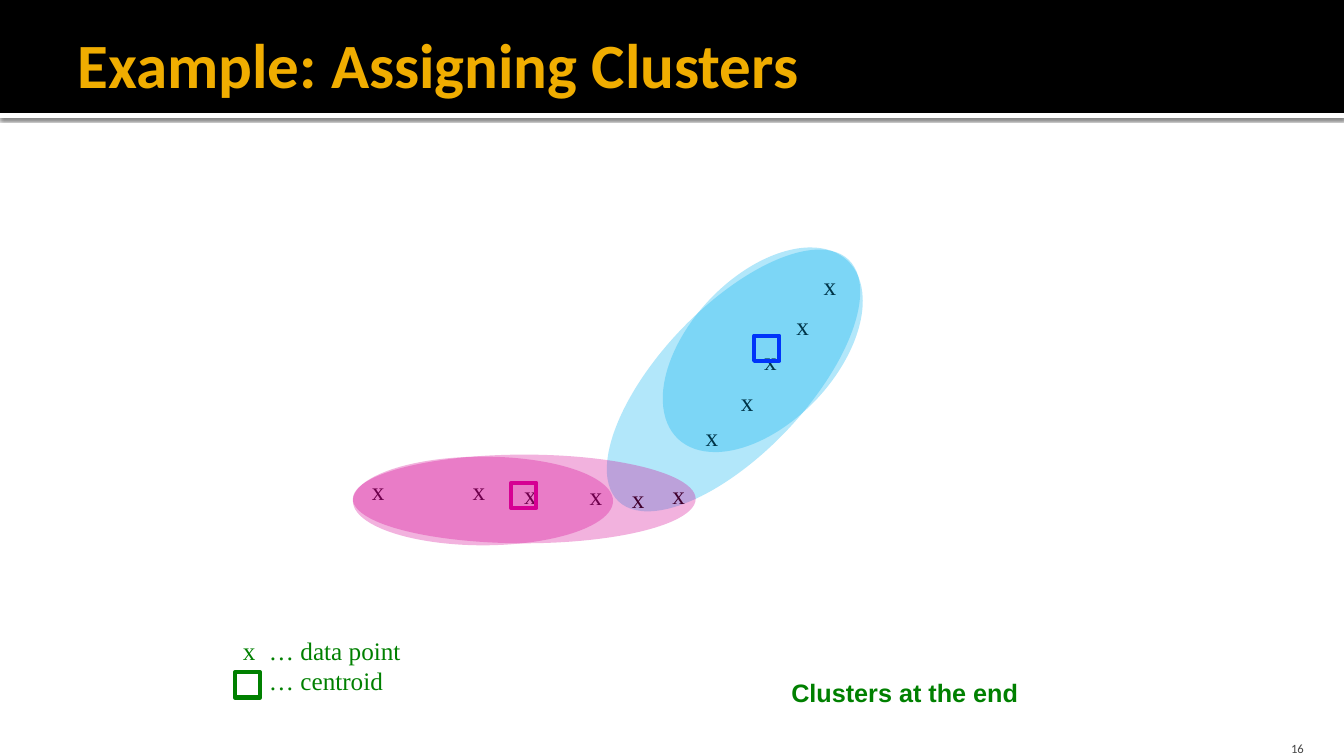
import pptx
import pptx.dml.color
import pptx.enum.shapes
import pptx.enum.text
import pptx.oxml
import pptx.oxml.ns
import pptx.util

PX = 9144  # 100 px to the inch
SHAPE = pptx.enum.shapes.MSO_SHAPE
ALIGN = pptx.enum.text.PP_ALIGN
ANCHOR = pptx.enum.text.MSO_ANCHOR
AUTO_SIZE = pptx.enum.text.MSO_AUTO_SIZE

BLACK, WHITE, GOLD, GREY = "000000", "FFFFFF", "F0AD00", "454545"
GREEN, BLUE, SKY, MAGENTA = "008000", "0000FF", "00B0F0", "D60093"

CLUSTER_BEHIND = (655, 212, 145, 331, SKY, 43.6)
CLUSTERS_IN_FRONT = [
    (350, 453, 258, 88, MAGENTA, 0),
    (350, 451, 340, 88, MAGENTA, 0),
    (684, 225, 145, 244, SKY, 43.6),
]
DATA_POINTS = [
    (575, 472), (807, 263), (510, 471), (748, 338), (459, 467), (690, 413),
    (359, 467), (657, 471), (725, 378), (780, 303), (617, 475),
]
CENTROIDS = [(233, 667, GREEN), (748, 333, BLUE), (507, 479, MAGENTA)]


def px(length):
    return pptx.util.Emu(length * PX)


def color(value):
    return pptx.dml.color.RGBColor.from_string(value)


def drawing_xml(tag, attributes, children=""):
    space = pptx.oxml.ns.nsdecls("a")
    return pptx.oxml.parse_xml(
        f"<a:{tag} {space} {attributes}>{children}</a:{tag}>")


class Painter:
    """Draws on one page with a default font and size."""

    def __init__(self, page, font, size):
        self.page = page
        self.font = font
        self.size = size

    def shape(self, kind, left, top, width, height, fill=None, line=None):
        shape = self.page.shapes.add_shape(
            kind, px(left), px(top), px(width), px(height))
        shape.shadow.inherit = False
        if fill:
            shape.fill.solid()
            shape.fill.fore_color.rgb = color(fill)
        else:
            shape.fill.background()
        if line:
            shape.line.color.rgb = color(line)
            shape.line.width = pptx.util.Pt(3)
        else:
            shape.line.fill.background()
        return shape

    def header(self):
        rule = self.shape(SHAPE.RECTANGLE, 0, 112, 1333, 5, WHITE)
        effects = rule.element.spPr.find(pptx.oxml.ns.qn("a:effectLst"))
        effects.append(drawing_xml(
            "outerShdw",
            'blurRad="31750" dist="10160" dir="5400000" algn="tl" rotWithShape="0"',
            '<a:srgbClr val="000000"><a:alpha val="60000"/></a:srgbClr>'))
        self.shape(SHAPE.RECTANGLE, 0, 0, 1333, 112, BLACK)

    def cluster(self, left, top, width, height, fill, rotation):
        oval = self.shape(SHAPE.OVAL, left, top, width, height, fill)
        oval.rotation = rotation
        tint = next(oval.element.iter(pptx.oxml.ns.qn("a:srgbClr")))
        tint.append(drawing_xml("alpha", 'val="30000"'))

    def centroid(self, left, top, line):
        self.shape(SHAPE.RECTANGLE, left, top, 25, 25, line=line)

    def span(self, para, text, ink, font=None, size=None, bold=False):
        span = para.add_run()
        span.text = text
        span.font.name = font or self.font
        span.font.size = pptx.util.Pt(size or self.size)
        span.font.bold = bold
        span.font.color.rgb = color(ink)

    def text_box(self, left, top, width, height):
        """Add an unwrapped box that grows with its text; return its frame."""
        box = self.page.shapes.add_textbox(
            px(left), px(top), px(width), px(height))
        frame = box.text_frame
        frame.word_wrap = False
        frame.auto_size = AUTO_SIZE.SHAPE_TO_FIT_TEXT
        return frame

    def label(self, text, left, top, width, height, ink, **style):
        frame = self.text_box(left, top, width, height)
        self.span(frame.paragraphs[0], text, ink, **style)

    def title(self, text, left, top, width, height):
        title = self.page.shapes.title
        title.left, title.top = px(left), px(top)
        title.width, title.height = px(width), px(height)
        frame = title.text_frame
        frame.word_wrap = True
        frame.auto_size = AUTO_SIZE.NONE
        frame.vertical_anchor = ANCHOR.MIDDLE
        frame.margin_left = px(10)
        frame.margin_right = frame.margin_top = frame.margin_bottom = px(5)
        para = frame.paragraphs[0]
        para.alignment = ALIGN.LEFT
        self.span(para, text, GOLD, "Calibri", 45, True)
        # Bring the title in front of the header bars
        title.element.getparent().append(title.element)

    def page_number(self, text, left, top, width, height):
        frame = self.text_box(left, top, width, height)
        frame.word_wrap = True
        frame.auto_size = AUTO_SIZE.NONE
        frame.vertical_anchor = ANCHOR.BOTTOM
        frame.margin_bottom = 0
        para = frame.paragraphs[0]
        para.alignment = ALIGN.RIGHT
        self.span(para, text, GREY, "Calibri", 9)

    def legend(self, left, top, width, height):
        """Write both key lines, their wording aligned after the symbols."""
        frame = self.text_box(left, top, width, height)
        indent = px(26)
        point = frame.paragraphs[0]
        self.span(point, "x\t… data point", GREEN)
        point_format = point._p.get_or_add_pPr()
        point_format.append(drawing_xml(
            "tabLst", "", f'<a:tab pos="{indent}" algn="l"/>'))
        centroid = frame.add_paragraph()
        self.span(centroid, "… centroid", GREEN)
        centroid_format = centroid._p.get_or_add_pPr()
        centroid_format.set("marL", str(indent))
        centroid_format.set("indent", "0")


def main():
    deck = pptx.Presentation()
    deck.slide_width, deck.slide_height = px(1333), px(750)
    title_only = deck.slide_layouts.get_by_name("Title Only")
    page = deck.slides.add_slide(title_only)
    painter = Painter(page, "Times New Roman", 18)

    painter.header()
    painter.cluster(*CLUSTER_BEHIND)
    painter.title("Example: Assigning Clusters", 67, 17, 1200, 92)
    painter.page_number("16", 1196, 720, 107, 30)
    painter.legend(231, 625, 177, 71)
    *points, last_point = DATA_POINTS
    for left, top in points:
        painter.label("x", left, top, 33, 40, BLACK)
    for centroid in CENTROIDS:
        painter.centroid(*centroid)
    painter.label("x", *last_point, 33, 40, BLACK)
    for cluster in CLUSTERS_IN_FRONT:
        painter.cluster(*cluster)
    painter.label("Clusters at the end", 775, 667, 247, 40, GREEN,
                  font="Arial", bold=True)
    deck.save("out.pptx")


if __name__ == "__main__":
    main()
